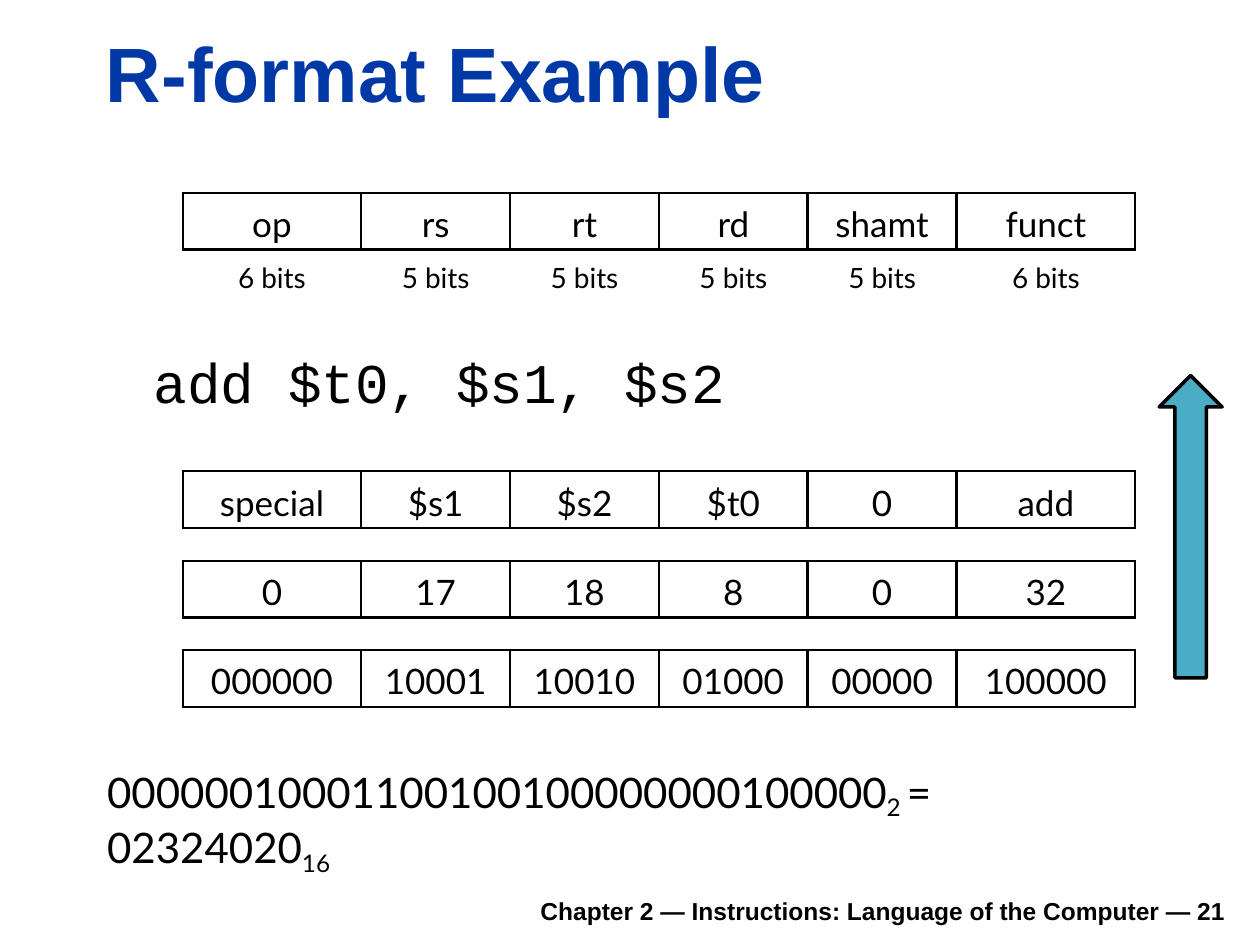
from dataclasses import dataclass

from lxml import etree
from pptx import Presentation, util as u
from pptx.dml.color import RGBColor
from pptx.enum import shapes, text
from pptx.oxml.ns import qn


@dataclass(frozen=True)
class Theme:
    title_font: str = "Arial"
    body_font: str = "Lato"
    code_font: str = "Courier New"
    ink: str = "000000"
    title_color: str = "0039A6"
    arrow_color: str = "4BACC6"
    title_size: float = 44
    code_size: float = 32
    formula_size: float = 24
    cell_size: float = 20
    label_size: float = 16
    footer_size: float = 14
    border: float = 1.5
    thick_border: float = 2.25


@dataclass(frozen=True)
class Area:
    """A rectangle in percent of the slide's width and height."""
    left: float
    top: float
    width: float
    height: float

    def lengths(self) -> tuple[int, int, int, int]:
        return tuple(int(share * side / 100) for share, side in (
            (self.left, WIDTH), (self.top, HEIGHT),
            (self.width, WIDTH), (self.height, HEIGHT)))


@dataclass(frozen=True)
class Field:
    name: str
    bits: int
    symbol: str
    decimal: str
    binary: str


@dataclass(frozen=True)
class TextStyle:
    font: str
    size: float
    color: str = Theme.ink
    bold: bool = False


THEME = Theme()
WIDTH, HEIGHT = u.Inches(10), u.Inches(7.5)
GRID_LEFT, GRID_WIDTH, ROW_HEIGHT = 14.5, 75.6, 6
FORMAT_TOP, ENCODING_TOP, ROW_PITCH = 20.4, 49.87, 9.47
LABEL_TOP, LABEL_WIDTH, LABEL_HEIGHT = 27.33, 5.6, 3.87
THICK_AFTER = 3  # the column whose right edge is heavier

FIELDS = [
    Field("op", 6, "special", "0", "000000"),
    Field("rs", 5, "$s1", "17", "10001"),
    Field("rt", 5, "$s2", "18", "10010"),
    Field("rd", 5, "$t0", "8", "01000"),
    Field("shamt", 5, "0", "0", "00000"),
    Field("funct", 6, "add", "32", "100000"),
]
BIT_WIDTH = GRID_WIDTH / sum(field.bits for field in FIELDS)


def format_runs(paragraph, style: TextStyle) -> None:
    for run in paragraph.runs:
        run.font.name = style.font
        run.font.size = u.Pt(style.size)
        run.font.bold = style.bold
        run.font.color.rgb = RGBColor.from_string(style.color)


def place_text(shape, area: Area, words: str, style: TextStyle,
               inset: float = 0.01, align=text.PP_ALIGN.LEFT, wrap: bool = True):
    shape.left, shape.top, shape.width, shape.height = area.lengths()
    frame = shape.text_frame
    frame.text = words
    frame.word_wrap = wrap
    frame.auto_size = text.MSO_AUTO_SIZE.NONE
    frame.vertical_anchor = text.MSO_ANCHOR.TOP
    frame.margin_left, frame.margin_top = u.Inches(inset), u.Inches(0.02)
    frame.margin_right = frame.margin_bottom = 0
    paragraph = frame.paragraphs[0]
    paragraph.alignment = align
    format_runs(paragraph, style)
    return paragraph


def add_text(slide, area: Area, words: str, style: TextStyle, **options):
    return place_text(slide.shapes.add_textbox(0, 0, 0, 0), area, words, style, **options)


def set_borders(cell, column: int) -> None:
    properties = cell._tc.get_or_add_tcPr()
    thick_side = {THICK_AFTER: "R", THICK_AFTER + 1: "L"}.get(column)
    for position, side in enumerate("LRTB"):
        width = THEME.thick_border if side == thick_side else THEME.border
        line = etree.Element(qn(f"a:ln{side}"), w=str(int(u.Pt(width))))
        fill = etree.SubElement(line, qn("a:solidFill"))
        etree.SubElement(fill, qn("a:srgbClr"), val=THEME.ink)
        properties.insert(position, line)


def add_field_row(slide, top: float, words: list[str]) -> None:
    area = Area(GRID_LEFT, top, GRID_WIDTH, ROW_HEIGHT)
    table = slide.shapes.add_table(1, len(FIELDS), *area.lengths()).table
    table.first_row = table.horz_banding = False
    for column, (field, word) in enumerate(zip(FIELDS, words)):
        table.columns[column].width = int(field.bits * BIT_WIDTH * WIDTH / 100)
        cell = table.cell(0, column)
        cell.text = word
        cell.fill.background()
        cell.margin_left = cell.margin_right = cell.margin_bottom = 0
        cell.margin_top = u.Inches(0.08)
        paragraph = cell.text_frame.paragraphs[0]
        paragraph.alignment = text.PP_ALIGN.CENTER
        format_runs(paragraph, TextStyle(THEME.body_font, THEME.cell_size))
        set_borders(cell, column)


def add_bit_labels(slide) -> None:
    left = GRID_LEFT
    for field in FIELDS:
        width = field.bits * BIT_WIDTH
        area = Area(left + (width - LABEL_WIDTH) / 2, LABEL_TOP, LABEL_WIDTH, LABEL_HEIGHT)
        add_text(slide, area, f"{field.bits} bits",
                 TextStyle(THEME.body_font, THEME.label_size),
                 inset=0, align=text.PP_ALIGN.CENTER, wrap=False)
        left += width


def add_formula(slide) -> None:
    style = TextStyle(THEME.body_font, THEME.formula_size)
    binary = "".join(field.binary for field in FIELDS)
    paragraph = add_text(slide, Area(8.1, 80.8, 82.3, 5.73), binary, style, inset=0.04)
    for words, subscript in (("2 ", True), ("= ", False), ("02324020", False), ("16", True)):
        run = paragraph.add_run()
        run.text = words
        if subscript:
            run._r.get_or_add_rPr().set("baseline", "-21000")
    format_runs(paragraph, style)


def add_up_arrow(slide) -> None:
    arrow = slide.shapes.add_shape(shapes.MSO_SHAPE.UP_ARROW,
                                   *Area(92, 39.73, 5, 32).lengths())
    arrow.shadow.inherit = False
    arrow.fill.solid()
    arrow.fill.fore_color.rgb = RGBColor.from_string(THEME.arrow_color)
    arrow.line.color.rgb = RGBColor.from_string(THEME.ink)
    arrow.line.width = u.Pt(2)


def main() -> None:
    presentation = Presentation()
    presentation.slide_width, presentation.slide_height = WIDTH, HEIGHT
    slide = presentation.slides.add_slide(presentation.slide_layouts[5])

    place_text(slide.shapes.title, Area(8.3, 2.4, 52.6, 10.13), "R-format Example",
               TextStyle(THEME.title_font, THEME.title_size, THEME.title_color, True))
    add_field_row(slide, FORMAT_TOP, [field.name for field in FIELDS])
    add_bit_labels(slide)
    add_text(slide, Area(12.1, 36.53, 45.7, 7.47), "add $t0, $s1, $s2",
             TextStyle(THEME.code_font, THEME.code_size))
    for row, part in enumerate(("symbol", "decimal", "binary")):
        add_field_row(slide, ENCODING_TOP + row * ROW_PITCH,
                      [getattr(field, part) for field in FIELDS])
    add_formula(slide)
    add_up_arrow(slide)
    add_text(slide, Area(42.8, 94.53, 54.6, 3.33),
             "Chapter 2 — Instructions: Language of the Computer — 21",
             TextStyle(THEME.title_font, THEME.footer_size, bold=True), wrap=False)
    presentation.save("out.pptx")


if __name__ == "__main__":
    main()
